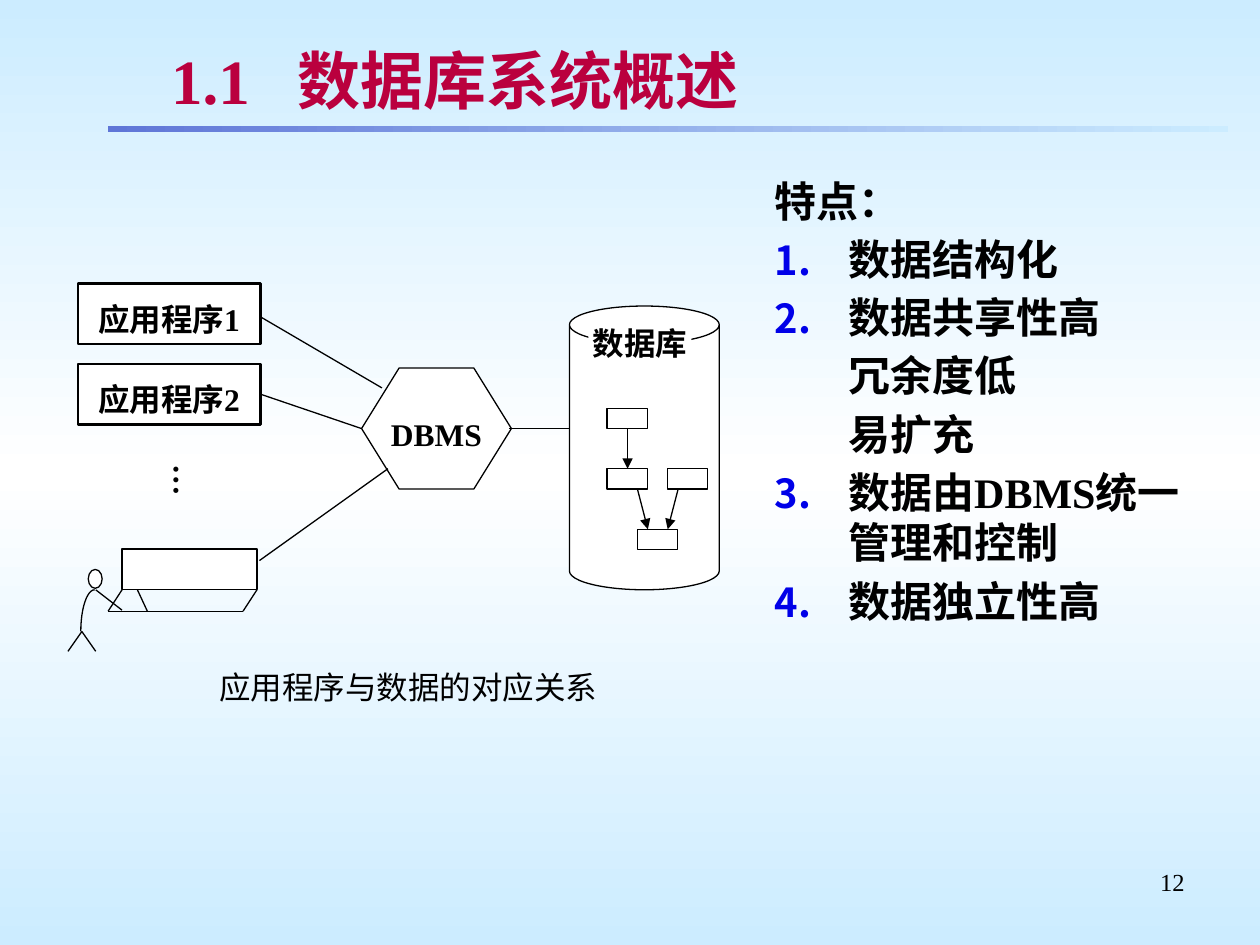
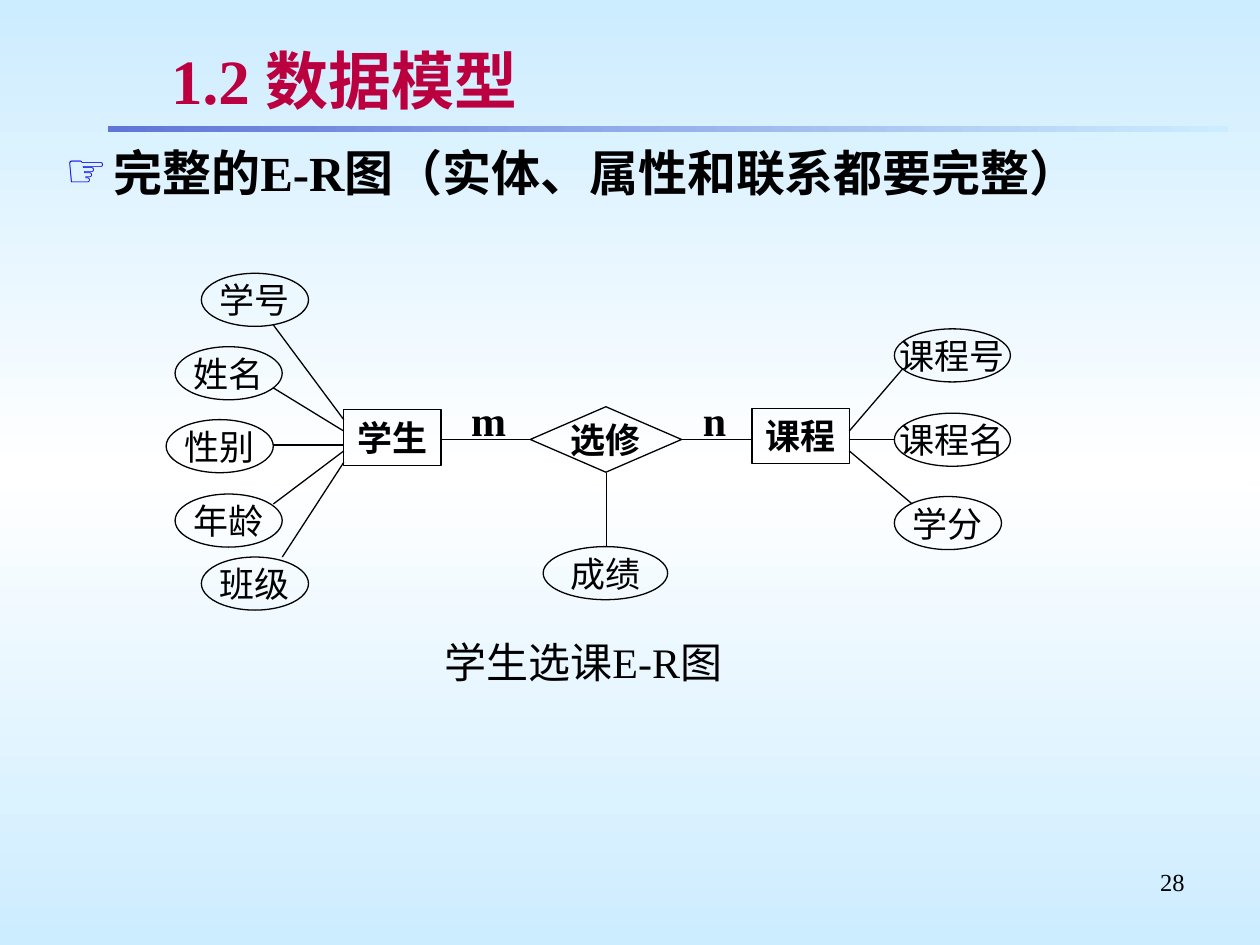
from math import cos, pi, sin

from lxml import etree
from pptx import Presentation
from pptx.dml.color import RGBColor
from pptx.enum.shapes import MSO_CONNECTOR, MSO_SHAPE
from pptx.enum.text import MSO_ANCHOR, PP_ALIGN
from pptx.oxml.ns import qn
from pptx.util import Cm, Pt

BLACK = RGBColor(0, 0, 0)
WHITE = RGBColor(255, 255, 255)
CRIMSON = RGBColor(0xBA, 0x00, 0x3E)
BLUE = RGBColor(0x00, 0x00, 0xE8)
INDIGO = RGBColor(0x5F, 0x76, 0xD7)
SKY = RGBColor(0xCC, 0xEC, 0xFF)

SERIF = "Times New Roman"
SANS = "Arial"
LEFT, MID, RIGHT = PP_ALIGN.LEFT, PP_ALIGN.CENTER, PP_ALIGN.RIGHT
TOP, CENTER = MSO_ANCHOR.TOP, MSO_ANCHOR.MIDDLE
RECT, OVAL, CAN = MSO_SHAPE.RECTANGLE, MSO_SHAPE.OVAL, MSO_SHAPE.CAN
HEXAGON, DIAMOND = MSO_SHAPE.HEXAGON, MSO_SHAPE.DIAMOND
DISC = MSO_SHAPE.FLOWCHART_CONNECTOR
STRAIGHT = MSO_CONNECTOR.STRAIGHT
PAD = (0.25, 0.13, 0.25, 0.13)


def add(parent, tag, **attrs):
    """Append an XML child with the given attributes."""
    node = etree.SubElement(parent, qn(tag))
    for key, value in attrs.items():
        node.set(key, str(value))
    return node


def shade(parent, stops, angle):
    """Turn the solid fill of an element into a linear gradient."""
    solid = parent.find(qn("a:solidFill"))
    grad = etree.Element(qn("a:gradFill"), rotWithShape="1")
    group = add(grad, "a:gsLst")
    for pos, color in stops:
        add(add(group, "a:gs", pos=pos * 1000), "a:srgbClr", val=color)
    add(grad, "a:lin", ang=angle * 60000, scaled=0)
    parent.replace(solid, grad)


def bullet(para, mark=None, start=None):
    """Give a paragraph a blue sign or an automatic number."""
    props = para._p.get_or_add_pPr()
    add(add(props, "a:buClr"), "a:srgbClr", val=BLUE)
    add(props, "a:buSzPct", val=95000)
    add(props, "a:buFont", typeface=SANS)
    if mark:
        add(props, "a:buChar", char=mark)
    else:
        add(props, "a:buAutoNum", type="arabicPeriod", startAt=start)


def glow(run):
    """Put a soft shadow behind the text of a run."""
    fx = etree.Element(qn("a:effectLst"))
    cast = add(fx, "a:outerShdw", dist=25400, dir=2700000)
    add(cast, "a:srgbClr", val="C0C0C0")
    run._r.rPr.find(qn("a:latin")).addprevious(fx)


def write(para, text, size=18, bold=False, color=BLACK, font=SERIF,
          align=LEFT, space=None, hang=0, first=0, mark=None, start=None):
    """Fill a paragraph with formatted text and return its run."""
    para.alignment = align
    if space is not None:
        para.space_before = Pt(space)
    if hang:
        props = para._p.get_or_add_pPr()
        props.set("marL", str(Cm(hang)))
        props.set("indent", str(Cm(first)))
    if mark or start:
        bullet(para, mark, start)
    run = para.add_run()
    run.text = text
    run.font.size, run.font.bold, run.font.name = Pt(size), bold, font
    run.font.color.rgb = color
    return run


def setup(shape, pad=PAD, anchor=TOP, wrap=True):
    """Set the frame of a shape and return its first paragraph."""
    frame = shape.text_frame
    frame.word_wrap, frame.vertical_anchor = wrap, anchor
    (frame.margin_left, frame.margin_top,
     frame.margin_right, frame.margin_bottom) = map(Cm, pad)
    return frame.paragraphs[0]


def label(slide, area, text, pad=PAD, anchor=TOP, wrap=True, **look):
    """Add a text box and return it."""
    box = slide.shapes.add_textbox(*map(Cm, area))
    write(setup(box, pad, anchor, wrap), text, **look)
    return box


def form(slide, kind, area, text=None, fill=None, line=0.75,
         pad=PAD, anchor=TOP, wrap=True, **look):
    """Add a preset shape with an optional centred text."""
    shape = slide.shapes.add_shape(kind, *map(Cm, area))
    shape.shadow.inherit = False
    if fill is None:
        shape.fill.background()
    else:
        shape.fill.solid()
        shape.fill.fore_color.rgb = fill
    if line:
        shape.line.color.rgb, shape.line.width = BLACK, Pt(line)
    else:
        shape.line.fill.background()
    if text:
        write(setup(shape, pad, anchor, wrap), text, align=MID, **look)
    return shape


def link(slide, ends, arrow=False):
    """Draw a thin black line, with an arrowhead if asked."""
    line = slide.shapes.add_connector(STRAIGHT, *map(Cm, ends))
    line.line.color.rgb, line.line.width = BLACK, Pt(0.75)
    if arrow:
        add(line.line._get_or_add_ln(), "a:tailEnd", type="triangle")
    add(line._element.spPr, "a:effectLst")


def base(deck, title, page):
    """Add a slide with backdrop, rule, title and page number."""
    slide = deck.slides.add_slide(deck.slide_layouts[6])
    slide.background.fill.solid()
    back = slide.element.find(".//" + qn("p:bgPr"))
    shade(back, [(0, SKY), (50, WHITE), (100, SKY)], 90)
    band = form(slide, RECT, (2.18, 2.54, 22.58, 0.13), fill=SKY, line=0)
    shade(band._element.spPr, [(0, INDIGO), (100, SKY)], 0)
    label(slide, (18.21, 17.35, 5.92, 1.32), str(page), size=14, align=RIGHT)
    head = label(slide, (3.2, 0.74, 20.93, 1.7), title, anchor=CENTER,
                 pad=(0.25, 0.1, 0.25, 0.1), size=36, bold=True, color=CRIMSON)
    glow(head.text_frame.paragraphs[0].runs[0])
    return slide


def traits(slide):
    """List the traits of a database system."""
    look = dict(size=24, bold=True, hang=1.48)
    box = label(slide, (15.37, 3.4, 9.19, 13.49), "特点：", first=-1.48, **look)
    rows = [("数据结构化", 1), ("数据共享性高", 1), ("冗余度低", None),
            ("易扩充", None), ("数据由DBMS统一管理和控制", 3),
            ("数据独立性高", 3)]
    for text, start in rows:
        write(box.text_frame.add_paragraph(), text, space=4.5, start=start,
              first=-1.48 if start else 0, **look)


def user(slide):
    """Draw a person sitting at a terminal."""
    form(slide, RECT, (2.46, 11.07, 2.72, 0.82), fill=WHITE)
    form(slide, DISC, (1.78, 11.48, 0.28, 0.38), fill=WHITE)
    turns = [pi / 2 * i / 12 for i in range(13)]
    back = [(Cm(1.91 - 0.28 * sin(t)), Cm(12.73 - 0.84 * cos(t)))
            for t in turns]
    pen = slide.shapes.build_freeform(*back[0])
    pen.add_line_segments(back[1:], close=False)
    torso = pen.convert_to_shape()
    torso.shadow.inherit = False
    torso.fill.background()
    torso.line.color.rgb, torso.line.width = BLACK, Pt(0.75)
    for ends in [(2.57, 12.73, 2.57, 12.73), (2.77, 11.89, 2.97, 12.32),
                 (2.46, 11.89, 2.18, 12.32), (5.18, 11.89, 4.9, 12.32),
                 (2.18, 12.32, 4.9, 12.32), (1.65, 12.73, 1.93, 13.13),
                 (1.65, 12.73, 1.37, 13.13), (1.93, 11.89, 2.46, 12.3)]:
        link(slide, ends)


def store(slide):
    """Draw the database with its linked records."""
    form(slide, CAN, (11.48, 6.17, 3.02, 5.72), fill=WHITE)
    for x, y in [(12.24, 8.23), (12.24, 9.45), (13.46, 9.45), (12.85, 10.67)]:
        form(slide, RECT, (x, y, 0.81, 0.41), fill=WHITE)
    for ends in [(12.65, 8.64, 12.65, 9.45), (12.85, 9.86, 13.06, 10.67),
                 (13.67, 9.86, 13.46, 10.67)]:
        link(slide, ends, arrow=True)
    form(slide, RECT, (11.86, 6.53, 2.08, 0.81), "数据库", fill=WHITE, line=0,
         pad=(0, 0, 0, 0), bold=True)


def system(deck):
    """Build the slide on programs, DBMS and data."""
    slide = base(deck, "1.1\t数据库系统概述", 12)
    traits(slide)
    user(slide)
    hexa = form(slide, HEXAGON, (7.29, 7.42, 3.02, 2.44), "DBMS", fill=WHITE,
                pad=(0, 0.53, 0, 0.13), bold=True)
    hexa.adjustments[0] = 0.31
    store(slide)
    for ends in [(10.26, 8.64, 11.48, 8.64), (4.88, 6.17, 7.7, 7.82),
                 (4.88, 7.82, 7.29, 8.64), (5.23, 11.3, 7.82, 9.45)]:
        link(slide, ends)
    for i in range(2):
        form(slide, RECT, (1.57, 5.72 + 1.62 * i, 3.68, 1.22),
             f"应用程序{i + 1}", fill=WHITE, line=1.5, bold=True,
             pad=(0.25, 0.33, 0.25, 0.13))
    dots = label(slide, (3, 9.12, 1.27, 1.7), "…", bold=True,
                 pad=(0.13, 0.25, 0.13, 0.25))
    dots.text_frame._txBody.bodyPr.set("vert", "eaVert")
    label(slide, (4.17, 13.34, 8.13, 1.02), "应用程序与数据的对应关系",
          wrap=False, font=SANS)


def model(deck):
    """Build the slide with the entity-relationship diagram."""
    slide = base(deck, "1.2 数据模型", 28)
    label(slide, (1.07, 2.74, 23.5, 1.52),
          "完整的E-R图（实体、属性和联系都要完整）", size=28, bold=True,
          hang=0.97, first=-0.97, mark="☞")
    for text, x, y in [("学生", 6.93, 8.26), ("课程", 15.16, 8.23)]:
        form(slide, RECT, (x, y, 1.96, 1.12), text, size=20, bold=True)
    form(slide, DIAMOND, (10.69, 8.2, 3.05, 1.32), "选修", anchor=CENTER,
         wrap=False, size=20, bold=True)
    for text, x in [("m", 9.25), ("n", 13.92)]:
        label(slide, (x, 7.82, 0.89, 1.27), text, size=24, bold=True)
    for text, x, y, w in [
            ("学号", 4.06, 5.51, 2.16), ("姓名", 3.53, 6.99, 2.16),
            ("性别", 3.35, 8.46, 2.16), ("年龄", 3.53, 9.96, 2.16),
            ("班级", 4.06, 11.23, 2.16), ("课程号", 18.03, 6.63, 2.34),
            ("课程名", 18.03, 8.33, 2.34), ("学分", 18.03, 10.01, 2.16),
            ("成绩", 10.95, 11.02, 2.51)]:
        form(slide, OVAL, (x, y, w, 1.07), text, anchor=CENTER, wrap=False,
             size=20)
    for ends in [(8.89, 8.86, 10.69, 8.86), (13.74, 8.86, 15.16, 8.86),
                 (12.22, 9.53, 12.22, 11), (5.51, 6.55, 6.93, 8.46),
                 (5.51, 7.82, 6.93, 8.69), (5.51, 8.97, 6.93, 8.97),
                 (5.51, 10.16, 6.93, 9.09), (5.69, 11.23, 6.93, 9.32),
                 (17.12, 8.86, 18.03, 8.86), (17.12, 8.69, 18.21, 7.42),
                 (17.12, 9.09, 18.39, 10.16)]:
        link(slide, ends)
    label(slide, (8.71, 12.7, 6.1, 1.27), "学生选课E-R图", anchor=CENTER,
          wrap=False, size=24, align=MID)


def main():
    """Build and save the deck."""
    deck = Presentation()
    deck.slide_width, deck.slide_height = Cm(25.4), Cm(19.05)
    system(deck)
    model(deck)
    deck.save("out.pptx")


if __name__ == "__main__":
    main()
